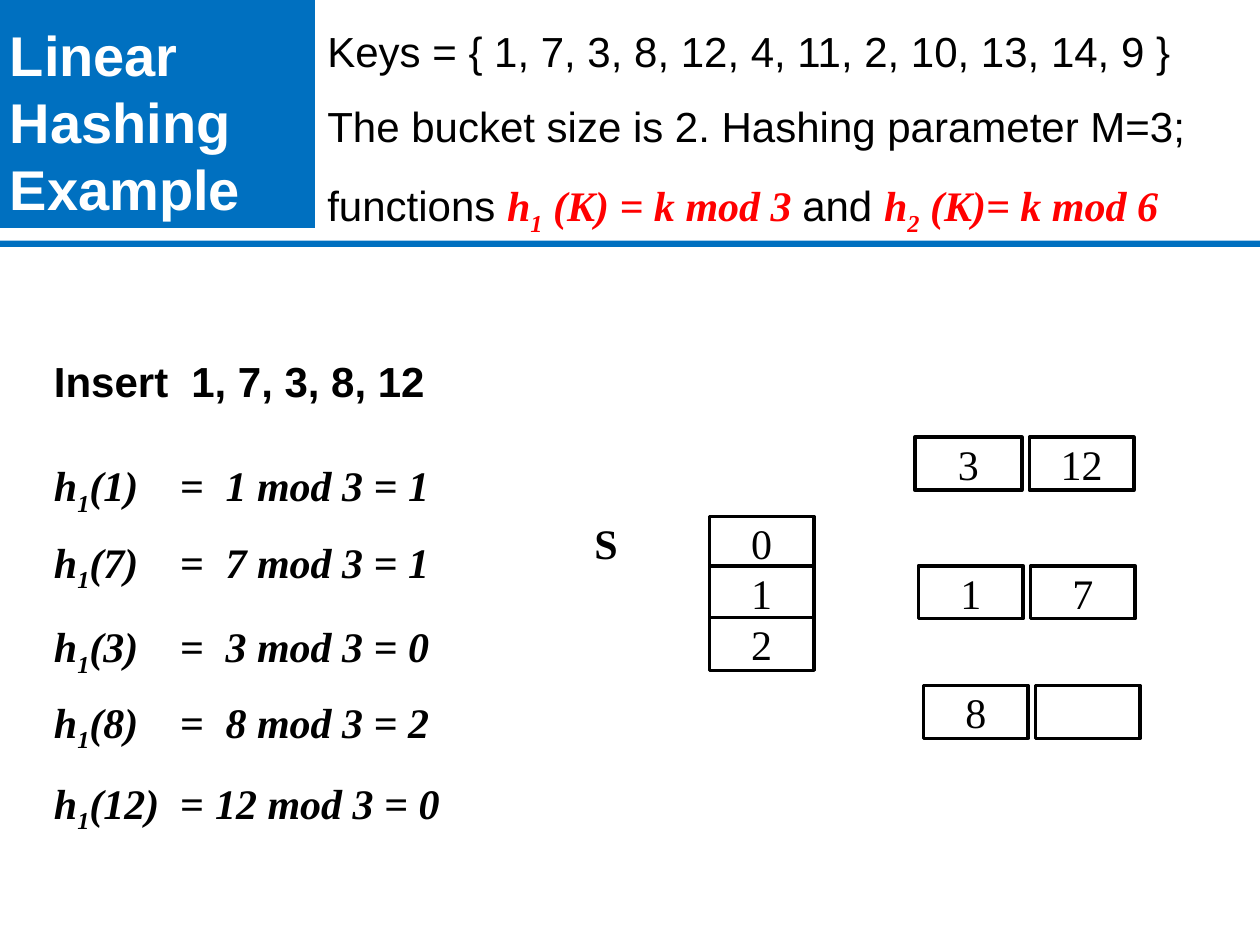
"""Build the slide that walks through a linear hashing example."""
from dataclasses import dataclass
from typing import NamedTuple, Optional

from lxml import etree
from pptx import Presentation
from pptx import util as u
from pptx.dml.color import RGBColor
from pptx.enum import shapes, text
from pptx.oxml.ns import qn


@dataclass(frozen=True)
class Theme:
    blue: str = "0070C0"
    black: str = "000000"
    white: str = "FFFFFF"
    red: str = "FF0000"
    sans: str = "Arial"
    serif: str = "Times New Roman"
    title: int = 32
    body: int = 24
    border: int = 2


THEME = Theme()


class Box(NamedTuple):
    left: float
    top: float
    width: float
    height: float


class Run(NamedTuple):
    words: str
    font: str = THEME.sans
    color: str = THEME.black
    bold: bool = False
    italic: bool = False
    subscript: bool = False


class Tab(NamedTuple):
    position: float
    align: str


class Bucket(NamedTuple):
    left: float
    top: float
    first_width: float
    pitch: float
    keys: tuple


class Hash(NamedTuple):
    key: int
    top: float


CELL_WIDTH, CELL_HEIGHT = 0.83, 0.42
DIRECTORY_LEFT = 5.63
DIRECTORY_TOPS = (4.1, 4.49, 4.9)
BUCKETS = (
    Bucket(7.26, 3.47, 0.85, 0.91, ("3", "12")),
    Bucket(7.33, 5.44, 0.83, 0.89, ("8", "")),
    Bucket(7.29, 4.49, 0.83, 0.89, ("1", "7")),
)
HASHES = (Hash(1, 3.37), Hash(7, 3.98), Hash(3, 4.65), Hash(8, 5.25), Hash(12, 5.89))
HASH_TABS = (Tab(1.0, "l"), Tab(2.17, "ctr"))


def put_text(frame, paragraphs, *, size: int = THEME.body, align=text.PP_ALIGN.LEFT,
             anchor=text.MSO_ANCHOR.TOP, spacing: Optional[float] = None,
             wrap: bool = True, tabs: tuple = ()) -> None:
    """Fill a text frame with paragraphs, each a sequence of runs."""
    frame.word_wrap = wrap
    frame.vertical_anchor = anchor
    for index, runs in enumerate(paragraphs):
        paragraph = frame.add_paragraph() if index else frame.paragraphs[0]
        paragraph.alignment = align
        if spacing:
            paragraph.line_spacing = spacing
        if tabs:
            stops = etree.SubElement(paragraph._p.get_or_add_pPr(), qn("a:tabLst"))
            for tab in tabs:
                etree.SubElement(stops, qn("a:tab"), pos=str(u.Inches(tab.position)),
                                 algn=tab.align)
        for part in runs:
            run = paragraph.add_run()
            run.text = part.words
            run.font.size = u.Pt(size)
            run.font.name = part.font
            run.font.bold = part.bold
            run.font.italic = part.italic
            run.font.color.rgb = RGBColor.from_string(part.color)
            if part.subscript:
                run._r.get_or_add_rPr().set("baseline", "-25000")


def add_rectangle(parent, box: Box, fill: str, border: Optional[str] = None):
    """Add a flat rectangle, with a border if a colour is given."""
    rectangle = parent.add_shape(shapes.MSO_SHAPE.RECTANGLE, *map(u.Inches, box))
    rectangle.shadow.inherit = False
    rectangle.fill.solid()
    rectangle.fill.fore_color.rgb = RGBColor.from_string(fill)
    if border:
        rectangle.line.color.rgb = RGBColor.from_string(border)
        rectangle.line.width = u.Pt(THEME.border)
    else:
        rectangle.line.fill.background()
    return rectangle


def add_note(parent, box: Box, paragraphs, **text_format) -> None:
    """Add a text box that grows with its text."""
    note = parent.add_textbox(*map(u.Inches, box))
    put_text(note.text_frame, paragraphs, **text_format)
    note.text_frame.auto_size = text.MSO_AUTO_SIZE.SHAPE_TO_FIT_TEXT


def add_cell(parent, left: float, top: float, key: str, width: float = CELL_WIDTH) -> None:
    """Add one bordered cell holding a key, or nothing."""
    cell = add_rectangle(parent, Box(left, top, width, CELL_HEIGHT), THEME.white, THEME.black)
    if key:
        put_text(cell.text_frame, [[Run(key, THEME.serif)]], wrap=False,
                 align=text.PP_ALIGN.CENTER, anchor=text.MSO_ANCHOR.MIDDLE)


def add_bucket(parent, bucket: Bucket) -> None:
    """Add a group of two cells side by side."""
    group = parent.add_group_shape().shapes
    first, second = bucket.keys
    add_cell(group, bucket.left, bucket.top, first, bucket.first_width)
    add_cell(group, bucket.left + bucket.pitch, bucket.top, second)


def formula(index: str, rest: str, color: str = THEME.black) -> list:
    """Return the runs of a hash function h with its index and the rest."""
    style = dict(font=THEME.serif, color=color, bold=True, italic=True)
    return [Run("h", **style), Run(index, subscript=True, **style), Run(rest, **style)]


def main() -> None:
    """Build and save the slide."""
    deck = Presentation()
    deck.slide_width, deck.slide_height = u.Inches(10), u.Inches(7.5)
    canvas = deck.slides.add_slide(deck.slide_layouts[6]).shapes

    title = add_rectangle(canvas, Box(-0.02, 0, 2.52, 1.81), THEME.blue)
    put_text(title.text_frame, [[Run("Linear Hashing Example", color=THEME.white, bold=True)]],
             size=THEME.title, anchor=text.MSO_ANCHOR.BOTTOM)
    add_note(canvas, Box(2.5, -0.05, 7.5, 1.92), [
        [Run("Keys = { 1, 7, 3, 8, 12, 4, 11, 2, 10, 13, 14, 9 }")],
        [Run("The bucket size is 2. Hashing parameter M=3;")],
        [Run("functions "), *formula("1", " (K) = k mod 3 ", THEME.red),
         Run("and "), *formula("2", " (K)= k mod 6", THEME.red)],
    ], spacing=1.5)
    add_note(canvas, Box(0.33, 2.57, 3.33, 0.64),
             [[Run("Insert\t1, 7, 3, 8, 12", bold=True)]], spacing=1.5, tabs=(Tab(1.09, "l"),))

    for slot, top in enumerate(DIRECTORY_TOPS):
        add_cell(canvas, DIRECTORY_LEFT, top, str(slot))
    add_note(canvas, Box(4.52, 4.06, 0.48, 0.5), [[Run("S", THEME.serif, bold=True)]],
             align=text.PP_ALIGN.RIGHT)
    for bucket in BUCKETS:
        add_bucket(canvas, bucket)
    for key, top in HASHES:
        add_note(canvas, Box(0.33, top, 3.83, 0.71),
                 [formula("1", f"({key})\t=\t{key} mod 3 = {key % 3}")],
                 spacing=1.5, tabs=HASH_TABS)
    add_rectangle(canvas, Box(0, 1.91, 10, 0.05), THEME.blue)

    deck.save("out.pptx")


if __name__ == "__main__":
    main()
